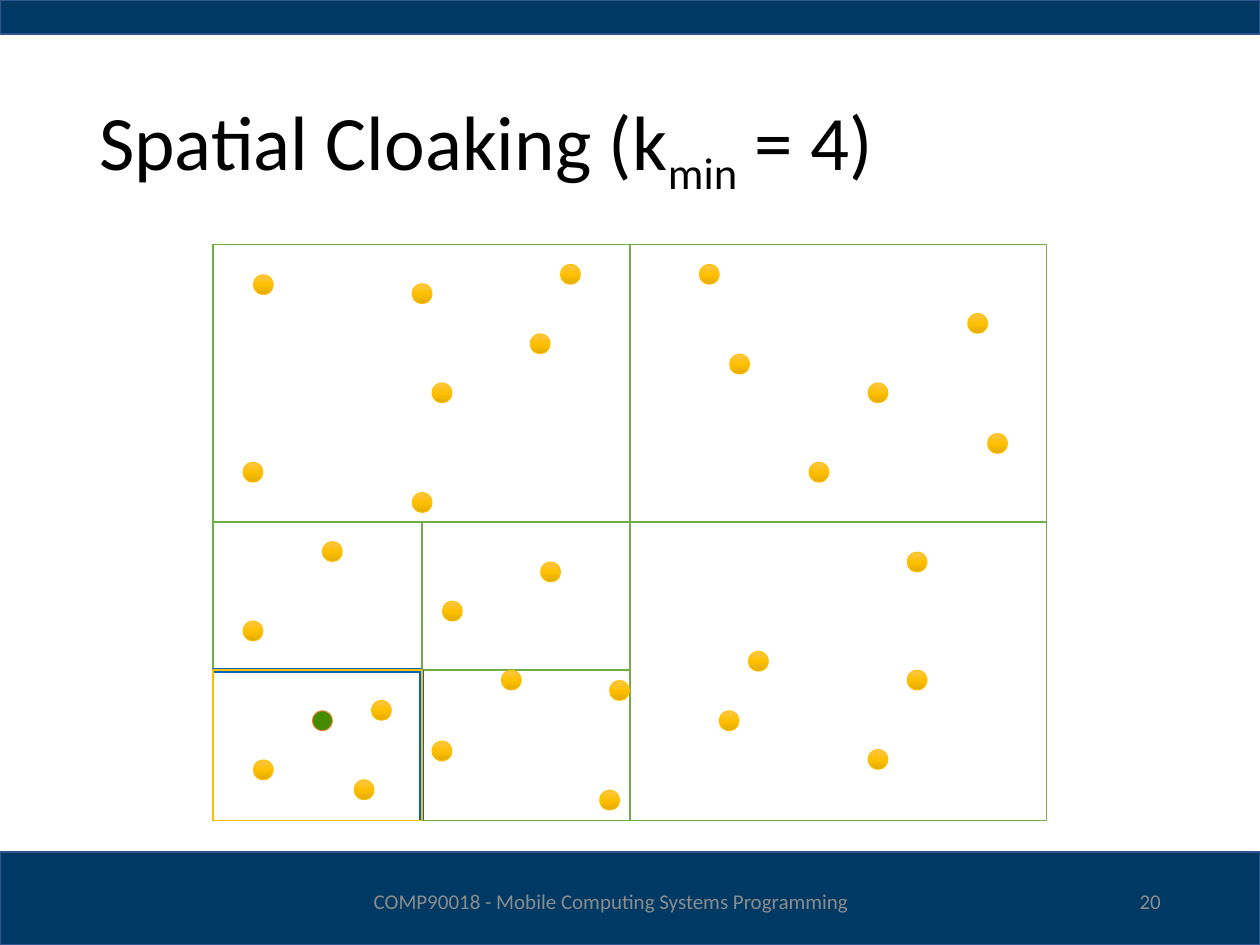
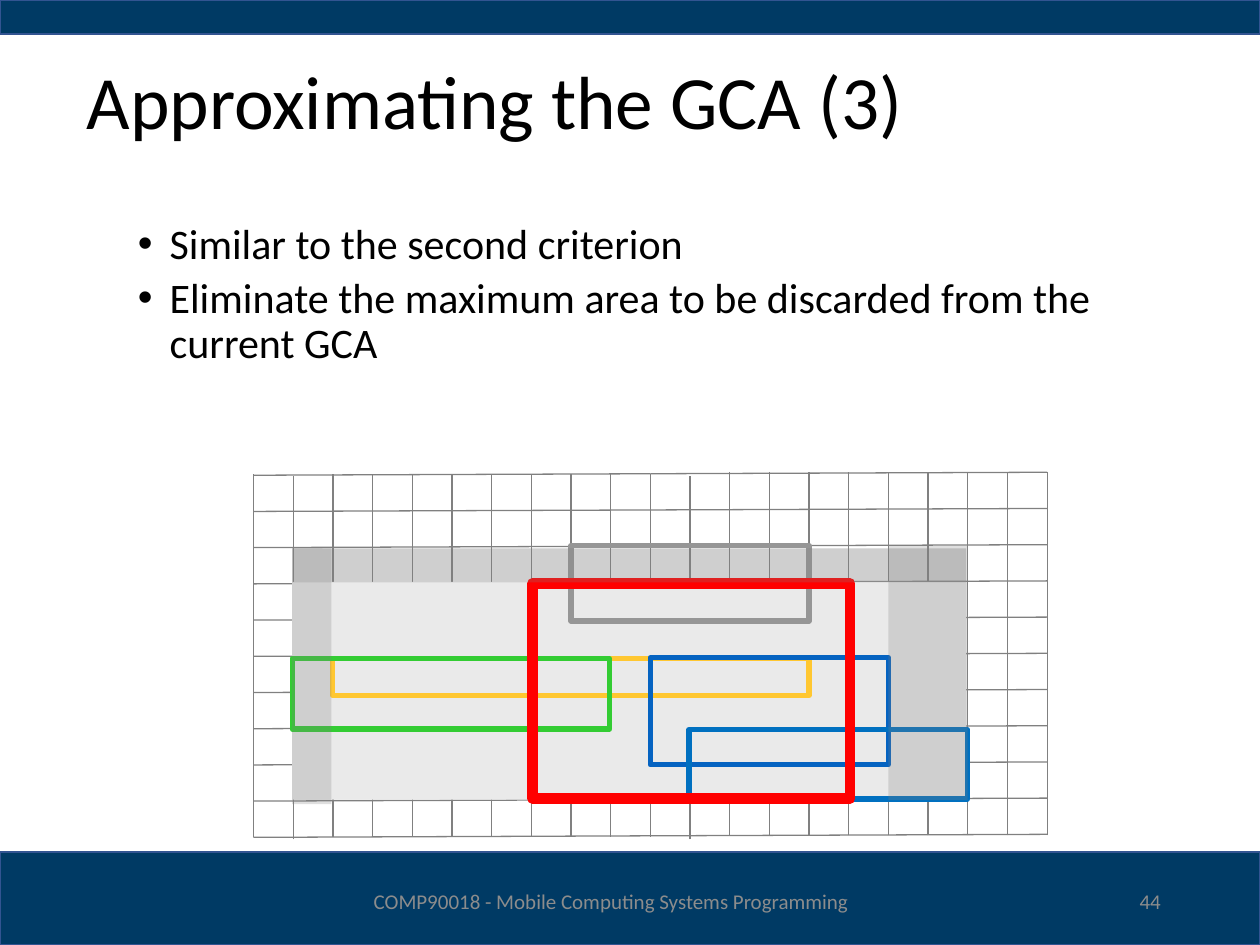
"""Build two slides on spatial cloaking and approximating the GCA."""
from copy import deepcopy

from lxml.etree import SubElement
from pptx import Presentation
from pptx.dml.color import RGBColor
from pptx.enum.shapes import MSO_CONNECTOR, MSO_SHAPE
from pptx.enum.text import MSO_ANCHOR, PP_ALIGN
from pptx.oxml.ns import qn
from pptx.util import Cm, Pt

COLORS = {
    "navy": "003A64", "band_edge": "325491", "white": "FFFFFF", "black": "000000",
    "footer": "8C8C8C", "cell": "70AD47", "user": "458B00", "user_edge": "ED7D31",
    "link_blue": "0563C1", "gold": "FFC000", "gold_light": "FFC64B", "gold_dark": "E3AB00",
    "area": "EAEAEA", "grid": "808080", "amber": "FFC731", "green": "33CC33",
    "blue": "0070C0", "gray": "969696", "red": "FF0000",
}


def draw_shape(page, kind, place, fill=None, line=None, weight=1):
    shape = page.shapes.add_shape(kind, *map(Cm, place))
    shape.shadow.inherit = False
    for paint, color in ((shape.fill, fill), (shape.line.fill, line)):
        if color:
            paint.solid()
            paint.fore_color.rgb = RGBColor.from_string(COLORS[color])
        else:
            paint.background()
    if line:
        shape.line.width = Pt(weight)
    return shape


def draw_line(page, start, end, color, weight=1):
    line = page.shapes.add_connector(MSO_CONNECTOR.STRAIGHT, *map(Cm, start + end))
    line.line.color.rgb = RGBColor.from_string(COLORS[color])
    line.line.width = Pt(weight)
    SubElement(line.element.spPr, qn("a:effectLst"))
    return line


deck = Presentation()
deck.slide_width, deck.slide_height = Cm(25.4), Cm(19.05)

FOOTER = "COMP90018 - Mobile Computing Systems Programming"
BANDS = [(0, 17.17, 25.4, 1.88), (0, 0, 25.4, 0.69)]
TITLE = {"line_spacing": 0.9}
BODY = {"line_spacing": 0.9, "space_before": Pt(5)}
LEFT, MIDDLE, TOP = PP_ALIGN.LEFT, MSO_ANCHOR.MIDDLE, MSO_ANCHOR.TOP

texts = [
    [
        ((1.75, 1.02, 21.9, 3.68), [["Spatial Cloaking (k", "min", " = 4)"]],
         44, "black", MIDDLE, TITLE),
    ],
    [
        ((1.5, 0.91, 22.4, 2.41), [["Approximating the GCA (3)"]],
         43, "black", MIDDLE, TITLE),
        ((1.27, 4.37, 22.86, 12.95),
         [["Similar to the second criterion"],
          ["Eliminate the maximum area to be discarded from the current GCA"]],
         24, "black", TOP, BODY),
    ],
]

pages = []
for number, page_texts in zip(("20", "44"), texts):
    page = deck.slides.add_slide(deck.slide_layouts[6])
    pages.append(page)
    for band in BANDS:
        draw_shape(page, MSO_SHAPE.RECTANGLE, band, "navy", "band_edge")
    footers = [
        ((6.68, 17.65, 11.28, 1.02), [[FOOTER]], 12, "footer", MIDDLE,
         {"alignment": PP_ALIGN.CENTER}),
        ((17.93, 17.65, 5.72, 1.02), [[number]], 12, "footer", MIDDLE,
         {"alignment": PP_ALIGN.RIGHT}),
    ]
    for place, paragraphs, size, color, anchor, layout in page_texts + footers:
        box = page.shapes.add_textbox(*map(Cm, place))
        frame = box.text_frame
        frame.word_wrap = True
        frame.vertical_anchor = anchor
        for index, words in enumerate(paragraphs):
            para = frame.paragraphs[0] if index == 0 else frame.add_paragraph()
            for name, value in ({"alignment": LEFT} | layout).items():
                setattr(para, name, value)
            if layout is BODY:
                properties = para._p.get_or_add_pPr()
                properties.set("marL", str(Cm(1.9)))
                properties.set("indent", str(Cm(-0.64)))
                SubElement(properties, qn("a:buFont"), typeface="Arial")
                SubElement(properties, qn("a:buChar"), char="•")
            for word in words:
                span = para.add_run()
                span.text = word
                for name, value in {"name": "Calibri", "size": Pt(size)}.items():
                    setattr(span.font, name, value)
                span.font.color.rgb = RGBColor.from_string(COLORS[color])
                if word == "min":
                    span._r.get_or_add_rPr().set("baseline", "-25000")

cloaking, approximation = pages

left, quarter, center, right = 4.3, 8.5, 12.7, 21.1
top, half, low, bottom = 4.93, 10.52, 13.51, 16.54
region = draw_shape(cloaking, MSO_SHAPE.RECTANGLE,
                    (left, top, right - left, bottom - top), "white", "cell")
draw_line(cloaking, (left, half), (right, half), "cell")
divider = draw_line(cloaking, (center, top), (center, bottom), "cell")
divider.begin_connect(region, 0)
divider.end_connect(region, 2)
draw_shape(cloaking, MSO_SHAPE.OVAL, (6.3, 14.33, 0.4, 0.4), "user", "user_edge", 0.5)
for start, end, color, weight in (
    ((quarter, half), (quarter, low), "cell", 1),
    ((left, low), (quarter, low), "link_blue", 3),
    ((quarter, low), (center, low), "cell", 1),
    ((quarter, low), (quarter, bottom), "link_blue", 3),
):
    draw_line(cloaking, start, end, color, weight)

neighbours = [
    (8.71, 14.94), (5.11, 5.54), (4.9, 9.32), (10.11, 13.51), (8.71, 7.72),
    (8.31, 9.93), (12.29, 13.72), (18.29, 13.51), (17.5, 7.72), (14.5, 14.33),
    (18.29, 11.13), (10.9, 11.33), (8.31, 5.72), (19.51, 6.32), (14.71, 7.14),
    (4.9, 12.52), (6.5, 10.92), (16.31, 9.32), (11.3, 5.33), (19.91, 8.74),
    (12.09, 15.93), (17.5, 15.11), (10.69, 6.73), (8.92, 12.12), (15.09, 13.13),
    (14.1, 5.33), (5.11, 15.32), (7.49, 14.12), (7.14, 15.72),
]
for x, y in neighbours:
    dot = draw_shape(cloaking, MSO_SHAPE.OVAL, (x, y, 0.4, 0.4), "gold", "gold", 0.5)
    dot.fill.gradient()
    dot.fill.gradient_angle = 270
    stops = dot.element.spPr.find(qn("a:gradFill")).find(qn("a:gsLst"))
    stops.insert(1, deepcopy(stops[0]))
    for index, color in enumerate(("gold_light", "gold", "gold_dark")):
        stop = dot.fill.gradient_stops[index]
        stop.position = index / 2
        stop.color.rgb = RGBColor.from_string(COLORS[color])

for start, end in (
    ((left, low), (left, bottom)),
    ((left, bottom), (quarter, bottom)),
    ((left, low), (quarter, low)),
    ((quarter, low), (quarter, bottom)),
):
    draw_line(cloaking, start, end, "gold")

draw_shape(approximation, MSO_SHAPE.RECTANGLE, (5.89, 11.07, 13.59, 5.05), "area")
grid_left, grid_top, column, row = 5.11, 9.58, 0.8, 0.73
for index in range(21):
    x = grid_left + index * column
    shift = 0.05 if index in (1, 11) else 0 if index <= 10 else -0.03
    draw_line(approximation, (x, 16.87 + shift), (x, 9.55 + shift), "grid", 0.75)
for index in range(11):
    y = grid_top + index * row
    for part in range(2):
        x = grid_left + part * 10 * column
        rise = part * 0.03
        draw_line(approximation, (x, y - rise), (x + 10 * column, y - rise - 0.03),
                  "grid", 0.75)

draw_shape(approximation, MSO_SHAPE.RECTANGLE, (5.89, 11.73, 13.59, 4.39), "area")
for place, color, weight in (
    ((6.71, 13.28, 9.6, 0.74), "amber", 3),
    ((5.89, 13.28, 6.4, 1.42), "green", 3),
    ((13.11, 13.26, 4.8, 2.16), "link_blue", 3),
    ((13.89, 14.71, 5.61, 1.4), "blue", 3),
    ((11.51, 11, 4.8, 1.52), "gray", 3),
    ((10.74, 11.76, 6.4, 4.34), "red", 6),
):
    draw_shape(approximation, MSO_SHAPE.RECTANGLE, place, line=color, weight=weight)
for place in (
    (5.89, 11.05, 0.79, 5.16),
    (5.89, 11.05, 13.59, 0.69),
    (17.91, 11, 1.6, 5.13),
):
    discarded = draw_shape(approximation, MSO_SHAPE.RECTANGLE, place, "grid")
    solid = discarded.element.spPr.find(qn("a:solidFill"))
    SubElement(solid[0], qn("a:alpha"), val="25000")

deck.save("out.pptx")
